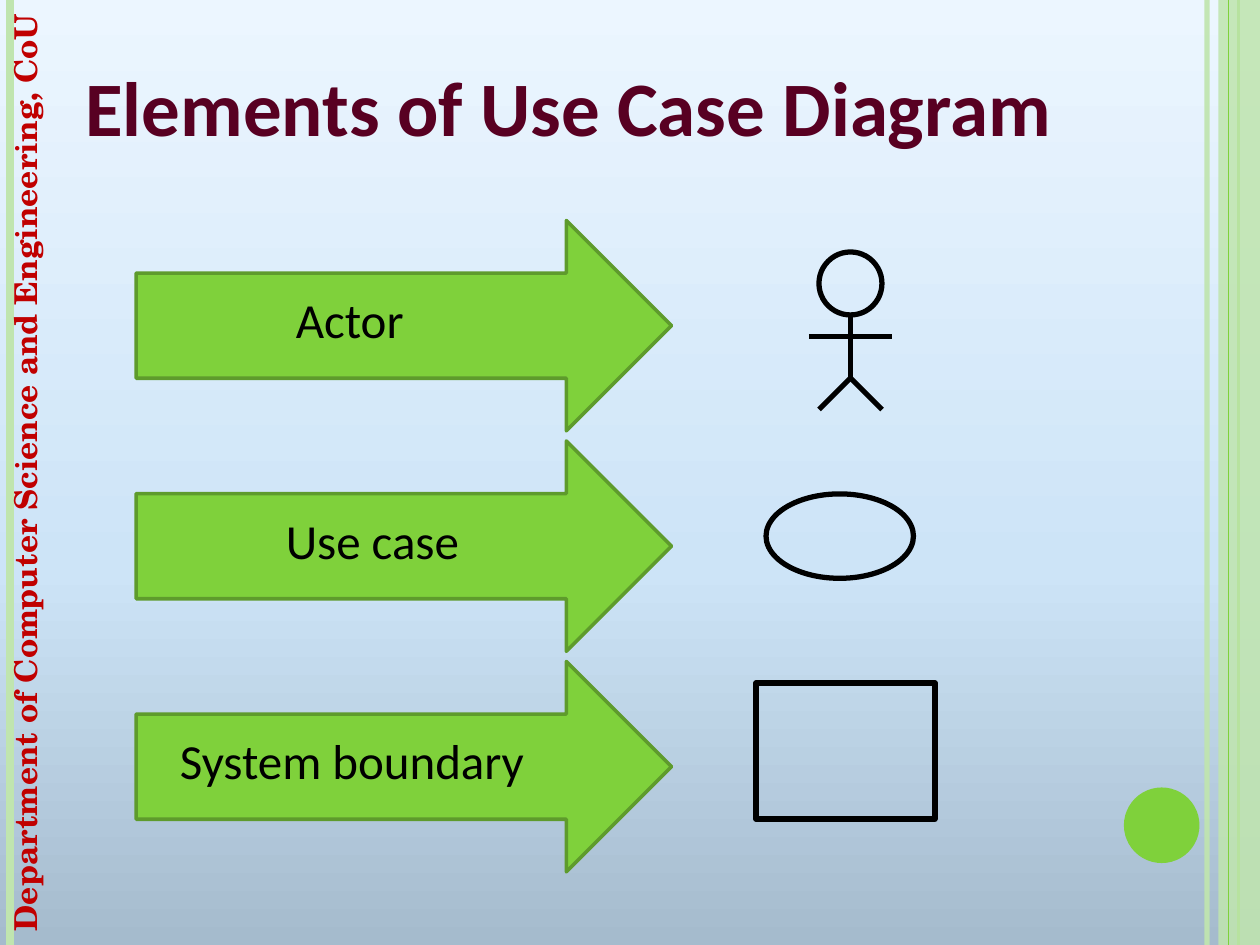
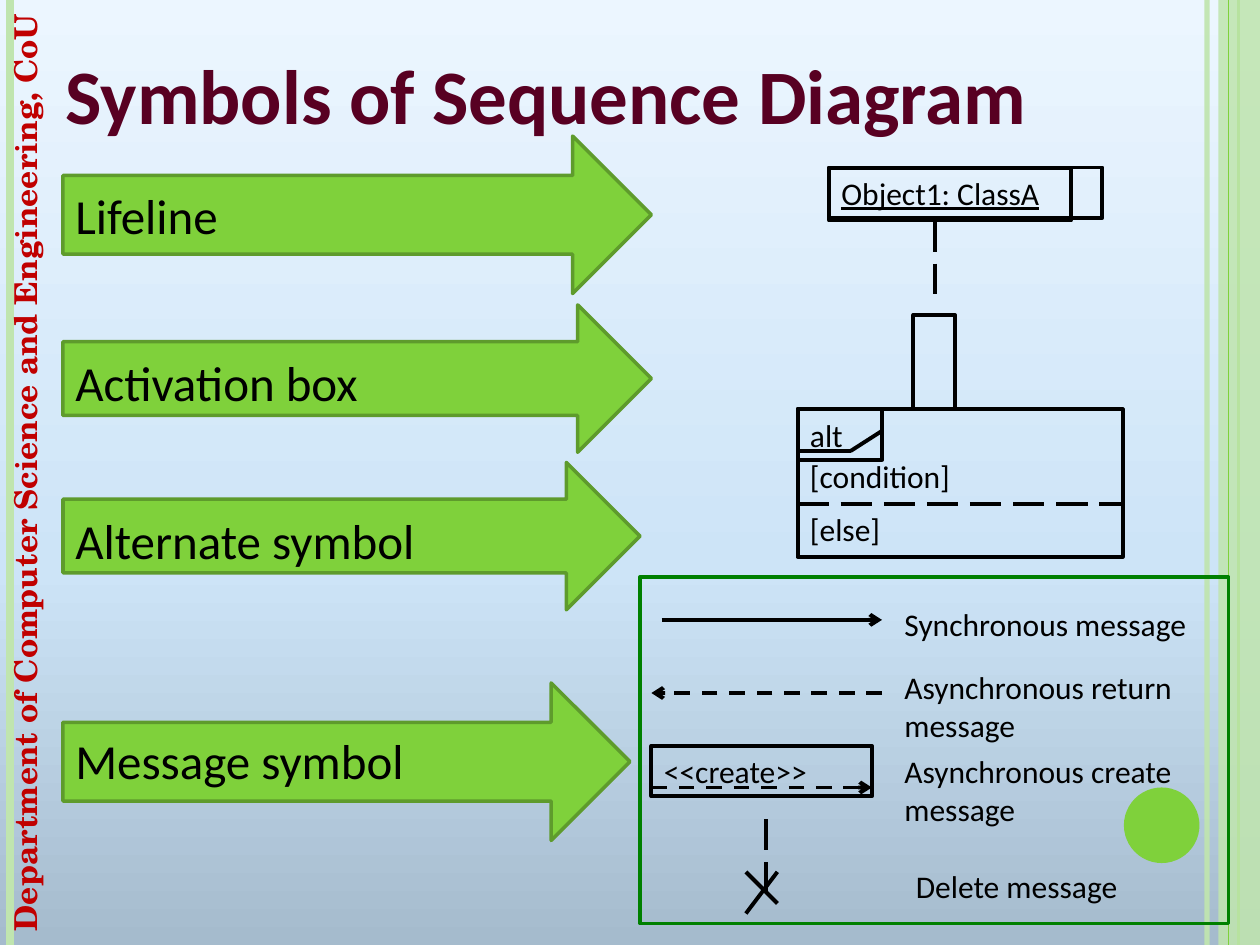
import pptx
import pptx.dml.color
import pptx.enum.dml
import pptx.enum.shapes
import pptx.enum.text
import pptx.oxml
import pptx.oxml.ns
import pptx.util
from dataclasses import dataclass
from lxml import etree

Inches = pptx.util.Inches
Pt = pptx.util.Pt
RGB = pptx.dml.color.RGBColor.from_string
qn = pptx.oxml.ns.qn
PRESET = pptx.enum.shapes.MSO_SHAPE
DASH = pptx.enum.dml.MSO_LINE


@dataclass(frozen=True)
class Theme:
    ink: str = "000000"
    title: str = "580022"
    department: str = "C00000"
    green: str = "7FD13B"
    arrow_edge: str = "5E9B2C"
    pale_green: str = "C0E5AF"
    frame: str = "008000"
    sky: tuple = ((0, "A5BBCD"), (40, "CDE4F7"), (100, "ECF6FF"))
    font: str = "Calibri"
    department_font: str = "TeX Gyre Schola"
    title_size: int = 44
    label_size: int = 28
    note_size: int = 18
    bold_stroke: float = 3
    stroke: float = 2.25
    edge: float = 2


class Deck:
    def __init__(self, theme):
        self.theme = theme
        self.file = pptx.Presentation()
        self.file.slide_width = Inches(10)
        self.file.slide_height = Inches(7.5)
        self.slide = None

    def new_slide(self, title, left, top):
        self.slide = self.file.slides.add_slide(self.file.slide_layouts[6])
        self.background()
        self.side_bands()
        self.text(title, left, top, 9, 1.45, self.theme.title_size,
                  color=self.theme.title, bold=True)

    def background(self):
        fill = self.slide.background.fill
        fill.gradient()
        fill.gradient_angle = 90
        stops = self.slide.element.find(".//" + qn("a:gsLst"))
        for stop in list(stops):
            stops.remove(stop)
        for position, color in self.theme.sky:
            stop = etree.SubElement(stops, qn("a:gs"), pos=str(position * 1000))
            etree.SubElement(stop, qn("a:srgbClr"), val=color)

    def side_bands(self):
        t = self.theme
        edge_line = self.line((9.58, 0), (9.58, 7.5), 3, t.pale_green)
        self.fade(edge_line, 93)
        self.line((0.08, 0), (0.08, 7.5), 4.5, t.pale_green)
        self.line((9.83, 0), (9.83, 7.5), 1.5, t.green)
        band = self.shape(PRESET.RECTANGLE, 9.67, 0, 0.33, 7.5, fill=t.pale_green)
        self.fade(band, 87)
        self.line((9.75, 0), (9.75, 7.5), 0.75, t.green)
        self.shape(PRESET.OVAL, 8.92, 6.25, 0.6, 0.6, fill=t.green)
        department = self.text(
            "Department of Computer Science and Engineering, CoU",
            -3.55, 3.55, 7.5, 0.4, t.note_size, color=t.department, bold=True,
            font=t.department_font, align=pptx.enum.text.PP_ALIGN.CENTER)
        department.text_frame.word_wrap = False
        department.rotation = 270

    def fade(self, item, opacity):
        color = item.element.find(".//" + qn("a:srgbClr"))
        etree.SubElement(color, qn("a:alpha"), val=str(opacity * 1000))

    def shape(self, preset, left, top, width, height, fill=None, edge=None, weight=0):
        shape = self.slide.shapes.add_shape(
            preset, Inches(left), Inches(top), Inches(width), Inches(height))
        shape.shadow.inherit = False
        if fill:
            shape.fill.solid()
            shape.fill.fore_color.rgb = RGB(fill)
        else:
            shape.fill.background()
        if edge:
            shape.line.color.rgb = RGB(edge)
            shape.line.width = Pt(weight)
        else:
            shape.line.fill.background()
        return shape

    def outline(self, preset, left, top, width, height, weight):
        return self.shape(preset, left, top, width, height,
                          edge=self.theme.ink, weight=weight)

    def block_arrow(self, left, top, width, height):
        self.shape(PRESET.RIGHT_ARROW, left, top, width, height,
                   self.theme.green, self.theme.arrow_edge, self.theme.edge)

    def line(self, start, end, weight, color=None, dash=None, arrow=False):
        line = self.slide.shapes.add_connector(
            pptx.enum.shapes.MSO_CONNECTOR.STRAIGHT,
            *(Inches(value) for value in (*start, *end)))
        line.line.color.rgb = RGB(color or self.theme.ink)
        line.line.width = Pt(weight)
        if dash:
            line.line.dash_style = dash
        properties = line.element.find(qn("p:spPr"))
        if arrow:
            etree.SubElement(properties.find(qn("a:ln")), qn("a:tailEnd"), type="arrow")
        etree.SubElement(properties, qn("a:effectLst"))
        return line

    def fill_text(self, frame, content, size, color=None, bold=False, underline=False,
                  font=None, align=pptx.enum.text.PP_ALIGN.LEFT):
        frame.word_wrap = True
        frame.text = content
        for paragraph in frame.paragraphs:
            paragraph.alignment = align
            for run in paragraph.runs:
                run.font.name = font or self.theme.font
                run.font.size = Pt(size)
                run.font.bold = bold
                run.font.underline = underline
                run.font.color.rgb = RGB(color or self.theme.ink)

    def text(self, content, left, top, width, height, size, **style):
        box = self.slide.shapes.add_textbox(
            Inches(left), Inches(top), Inches(width), Inches(height))
        self.fill_text(box.text_frame, content, size, **style)
        return box

    def label(self, content, left, top):
        self.text(content, left, top, 3.5, 0.57, self.theme.label_size)

    def note(self, content, left, top, width=2.9, height=0.4):
        self.text(content, left, top, width, height, self.theme.note_size)

    def note_box(self, content, left, top, width, underline=False):
        box = self.outline(PRESET.RECTANGLE, left, top, width, 0.4, self.theme.stroke)
        self.fill_text(box.text_frame, content, self.theme.note_size, underline=underline)


def use_case_slide(deck):
    deck.new_slide("Elements of Use Case Diagram", 0.58, 0.42)
    weight = deck.theme.bold_stroke

    # Named arrows, one per element
    for row, (name, left) in enumerate(
            [("Actor", 2.25), ("Use case", 2.17), ("System boundary", 1.33)]):
        top = 1.75 * (row + 1)
        deck.block_arrow(1.08, top, 4.25, 1.67)
        deck.label(name, left, top + 0.5)

    # Actor figure: head, body, arms, legs
    deck.outline(PRESET.OVAL, 6.5, 2, 0.5, 0.5, weight)
    hip = (6.75, 3)
    for start, end in [((6.75, 2.5), hip), ((6.42, 2.67), (7.08, 2.67)),
                       (hip, (6.5, 3.25)), (hip, (7, 3.25))]:
        deck.line(start, end, weight)

    # Use case and system boundary
    deck.outline(PRESET.OVAL, 6.08, 3.92, 1.17, 0.67, weight)
    deck.outline(PRESET.RECTANGLE, 6, 5.42, 1.42, 1.08, weight)


def sequence_slide(deck):
    deck.new_slide("Symbols of Sequence Diagram", 0.42, 0.33)
    weight = deck.theme.stroke

    # Named arrows, one per symbol
    for name, top, width, height, label_top in [
            ("Lifeline", 1.08, 4.67, 1.25, 1.42),
            ("Activation box", 2.42, 4.67, 1.17, 2.75),
            ("Alternate symbol", 3.67, 4.58, 1.17, 4),
            ("Message symbol", 5.42, 4.5, 1.25, 5.75)]:
        deck.block_arrow(0.5, top, width, height)
        deck.label(name, 0.5, label_top)

    # Lifeline and activation box
    deck.outline(PRESET.RECTANGLE, 6.58, 1.33, 1.92, 0.42, weight)
    deck.note_box("Object1: ClassA", 6.58, 1.33, 2.17, underline=True)
    deck.line((7.42, 1.75), (7.42, 2.33), weight, dash=DASH.LONG_DASH)
    deck.outline(PRESET.RECTANGLE, 7.25, 2.5, 0.33, 0.75, weight)

    # Alternate frame with its corner tab
    deck.outline(PRESET.RECTANGLE, 6.33, 3.25, 2.58, 1.17, weight)
    tab_edge = [(6.33, 3.58), (6.75, 3.58), (7, 3.42), (7, 3.25)]
    for start, end in zip(tab_edge, tab_edge[1:]):
        deck.line(start, end, weight)
    deck.note_box("alt", 6.33, 3.25, 0.67)
    deck.note("[condition]", 6.33, 3.58, 1.75)
    deck.line((6.33, 4), (8.92, 4), weight, dash=DASH.LONG_DASH)
    deck.note("[else]", 6.33, 4, 1.75)

    # Messages
    deck.line((5.25, 4.92), (7, 4.92), weight, arrow=True)
    deck.line((7, 5.5), (5.17, 5.5), weight, dash=DASH.DASH, arrow=True)
    deck.line((5.17, 6.25), (6.92, 6.25), weight, dash=DASH.DASH, arrow=True)
    deck.note_box("<<create>>", 5.17, 5.92, 1.75)
    deck.note("Synchronous message", 7.08, 4.75)
    deck.note("Asynchronous return\nmessage", 7.08, 5.25, height=0.71)
    deck.note("Asynchronous create\nmessage", 7.08, 5.92, height=0.71)

    # Delete message: lifeline ending in a cross
    deck.line((6.08, 6.5), (6.08, 7.08), weight, dash=DASH.LONG_DASH)
    deck.line((5.92, 6.92), (6.17, 7.17), weight)
    deck.line((6.17, 6.92), (5.92, 7.25), weight)
    deck.note("Delete message", 7.17, 6.83, 2.58)

    # Frame around the messages
    deck.shape(PRESET.RECTANGLE, 5.08, 4.58, 4.67, 2.75,
               edge=deck.theme.frame, weight=deck.theme.edge)


def main():
    deck = Deck(Theme())
    use_case_slide(deck)
    sequence_slide(deck)
    deck.file.save("out.pptx")


if __name__ == "__main__":
    main()
